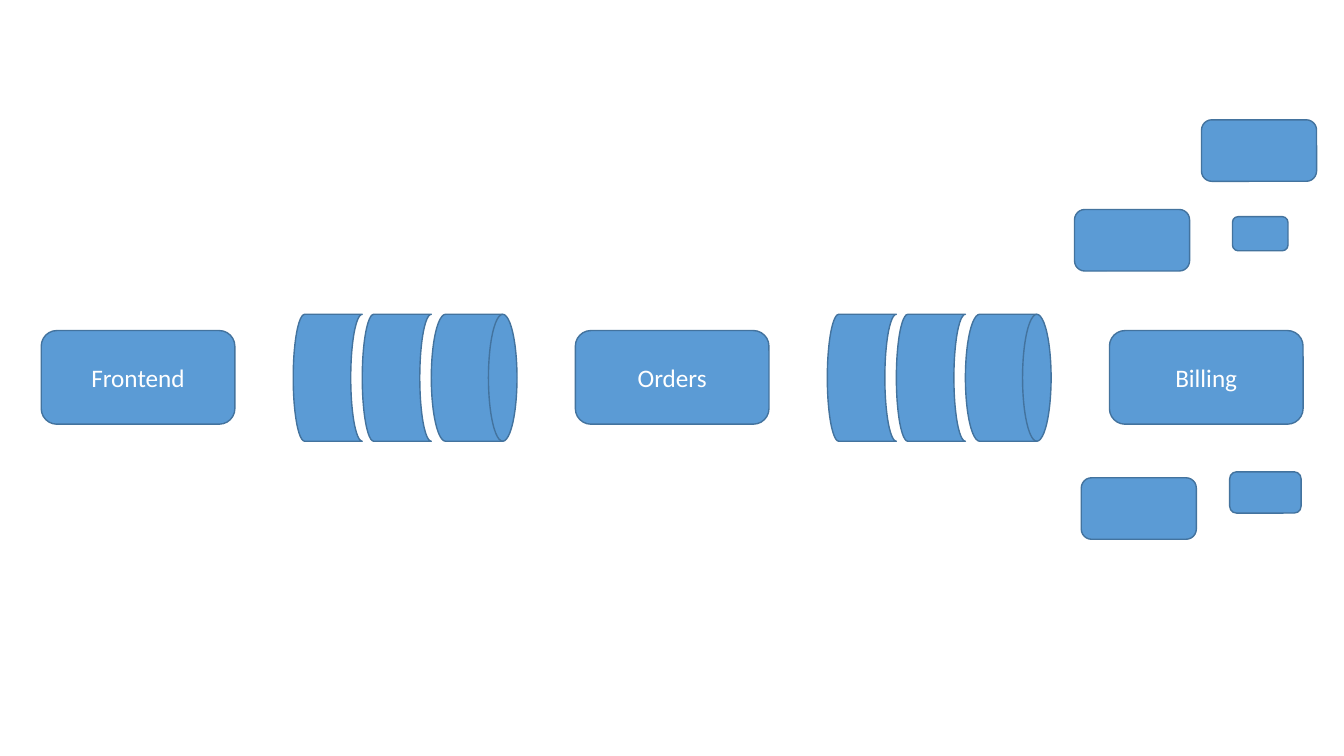
from pptx import Presentation
from pptx.dml.color import RGBColor
from pptx.enum.shapes import MSO_SHAPE as SHAPE
from pptx.enum.text import MSO_ANCHOR as ANCHOR, PP_ALIGN as ALIGN
from pptx.util import Cm, Pt

BLUE = RGBColor(0x5B, 0x9B, 0xD5)
OUTLINE = RGBColor(0x43, 0x73, 0x9E)
WHITE = RGBColor(0xFF, 0xFF, 0xFF)

SERVICES = ["Frontend", "Orders", "Billing"]
SERVICE_PITCH = 13.46
SEGMENT_WIDTH = 1.74
EXTRA_INSTANCES = [
    (27.08, 5.28, 2.9, 1.55),
    (30.28, 3.02, 2.9, 1.55),
    (27.25, 12.04, 2.9, 1.55),
    (31.06, 5.46, 1.4, 0.86),
    (30.99, 11.89, 1.8, 1.04),
]


class Diagram:
    font = "Calibri"
    size = Pt(18)

    def __init__(self, slide):
        self.slide = slide

    def shape(self, shapes, kind, left, top, width, height):
        sp = shapes.add_shape(kind, Cm(left), Cm(top), Cm(width), Cm(height))
        sp.shadow.inherit = False
        sp.fill.solid()
        sp.fill.fore_color.rgb = BLUE
        sp.line.color.rgb = OUTLINE
        sp.line.width = Pt(1)
        return sp

    def box(self, left, top, width, height):
        return self.shape(self.slide.shapes, SHAPE.ROUNDED_RECTANGLE,
                          left, top, width, height)

    def service(self, name, left):
        tf = self.box(left, 8.33, 4.88, 2.36).text_frame
        tf.text = name
        tf.vertical_anchor = ANCHOR.MIDDLE
        p = tf.paragraphs[0]
        p.alignment = ALIGN.CENTER
        font = p.runs[0].font
        font.name, font.size = self.font, self.size
        font.color.rgb = WHITE

    def queue(self, left):
        shapes = self.slide.shapes.add_group_shape().shapes
        top, height = 7.92, 3.2
        self.shape(shapes, SHAPE.FLOWCHART_DIRECT_ACCESS_STORAGE,
                   left + 2 * SEGMENT_WIDTH, top, 2.16, height)
        for i in (1, 0):
            self.shape(shapes, SHAPE.FLOWCHART_STORED_DATA,
                       left + i * SEGMENT_WIDTH, top, SEGMENT_WIDTH, height)


def main():
    prs = Presentation()
    prs.slide_width, prs.slide_height = Cm(33.87), Cm(19.05)
    diagram = Diagram(prs.slides.add_slide(prs.slide_layouts[6]))
    for i, name in enumerate(SERVICES):
        if i < len(SERVICES) - 1:
            diagram.queue(7.39 + i * SERVICE_PITCH)
        diagram.service(name, 1.04 + i * SERVICE_PITCH)
    for instance in EXTRA_INSTANCES:
        diagram.box(*instance)
    prs.save("out.pptx")


if __name__ == "__main__":
    main()
